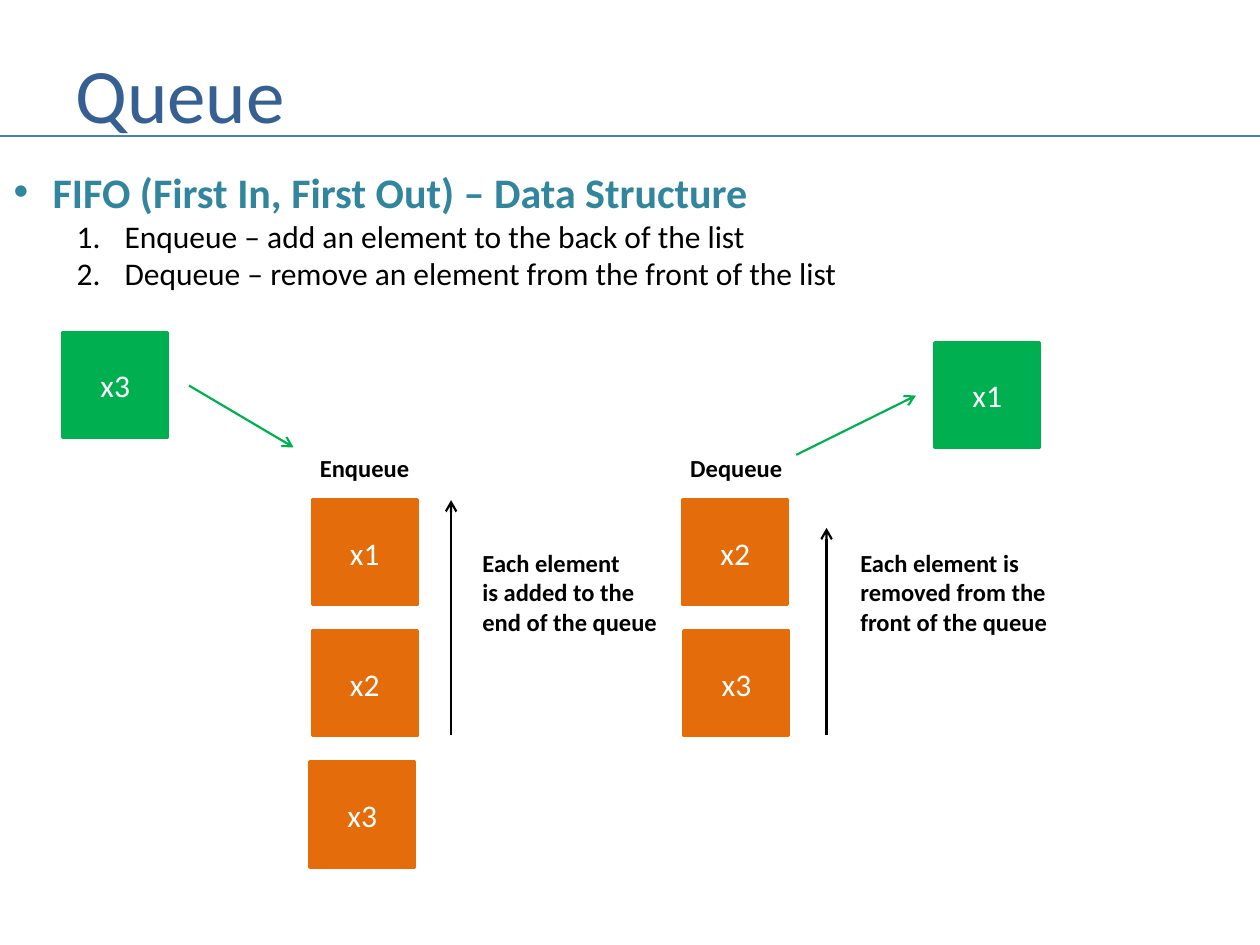
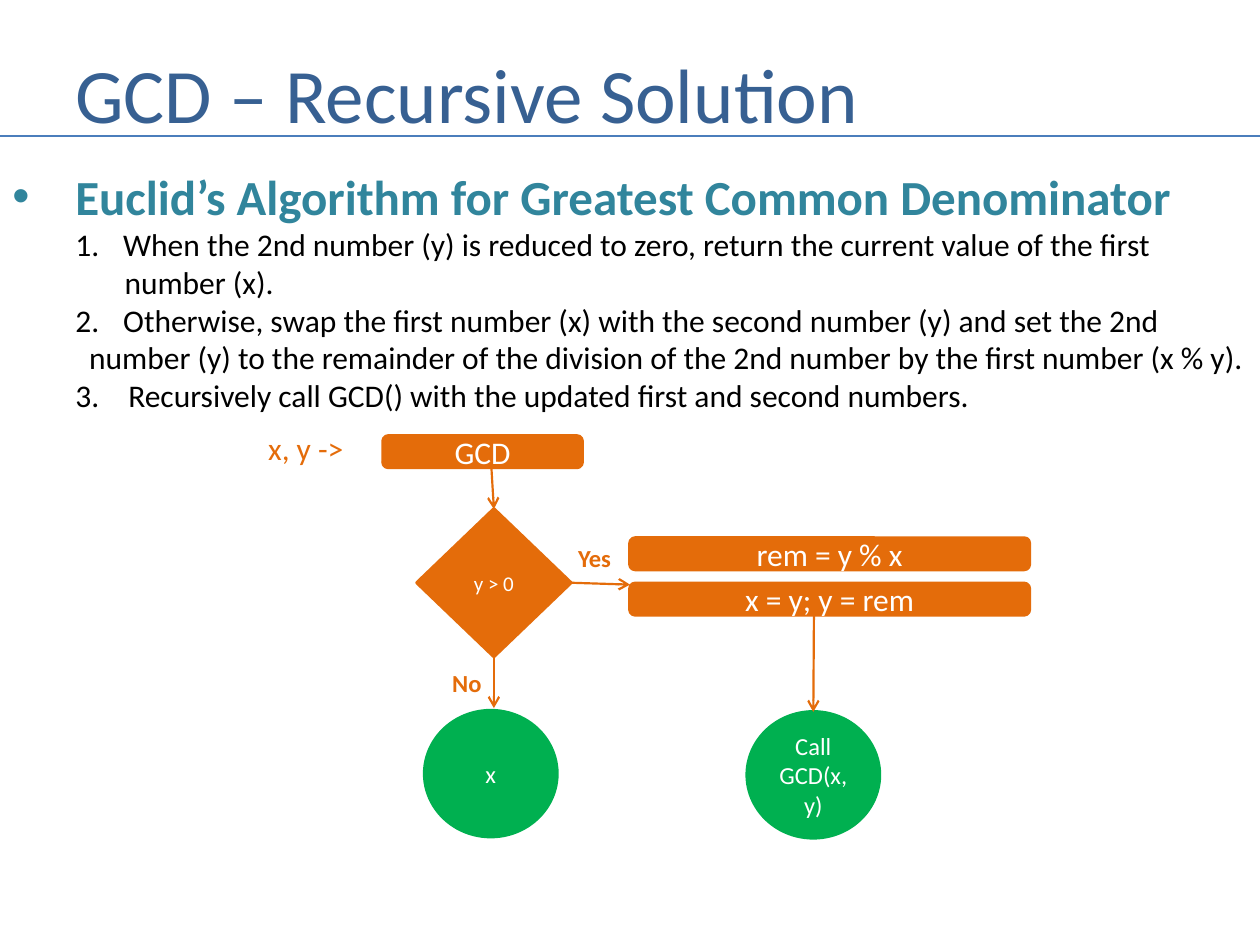
from pptx import Presentation
from pptx import util as u
from pptx.dml.color import RGBColor
from pptx.enum import shapes, text
from pptx.oxml.ns import qn
from lxml import etree

FONT = "Calibri"
NAVY = RGBColor(0x37, 0x60, 0x92)
RULE_BLUE = RGBColor(0x4B, 0x7E, 0xBC)
TEAL = RGBColor(0x31, 0x85, 0x9C)
ORANGE = RGBColor(0xE4, 0x6C, 0x0A)
GREEN = RGBColor(0x00, 0xB0, 0x50)
BLACK = RGBColor(0, 0, 0)
WHITE = RGBColor(0xFF, 0xFF, 0xFF)

Preset = shapes.MSO_SHAPE
TOP, BOTTOM, RIGHT = 0, 2, 3
SIDE = 0.83


class Slides:
    def __init__(self):
        self.deck = Presentation()
        self.deck.slide_width = u.Inches(10)
        self.deck.slide_height = u.Inches(7.5)
        self.page = None

    def new_page(self, title):
        self.page = self.deck.slides.add_slide(self.deck.slide_layouts[6])
        box = self.text_box((0.5, 0.3, 9.08, 0.87))
        box.text_frame.vertical_anchor = text.MSO_ANCHOR.MIDDLE
        self.add_span(box.text_frame.paragraphs[0], title, 44, NAVY)
        self.line((0, 1.08), (10, 1.08), RULE_BLUE, 1.5)

    def text_box(self, place, wrap=True):
        box = self.page.shapes.add_textbox(*map(u.Inches, place))
        box.text_frame.word_wrap = wrap
        return box

    def add_span(self, para, words, size, color, bold=False):
        span = para.add_run()
        span.text = words
        span.font.name = FONT
        span.font.size = u.Pt(size)
        span.font.bold = bold
        span.font.color.rgb = color

    def add_lines(self, frame, lines, size, color, bold=False, align=None):
        for index, words in enumerate(lines.split("\n")):
            para = frame.add_paragraph() if index else frame.paragraphs[0]
            para.alignment = align
            self.add_span(para, words, size, color, bold)

    def label(self, place, lines, color=BLACK, size=14, bold=True):
        box = self.text_box(place, wrap=False)
        self.add_lines(box.text_frame, lines, size, color, bold)

    def outline(self, place, heading, heading_size, hang, items):
        """Bulleted heading over items of (words, left margin, first-line indent, number)."""
        frame = self.text_box(place).text_frame
        para = frame.paragraphs[0]
        self.indent(para, hang, -hang, "buChar", char="•")
        self.add_span(para, heading, heading_size, TEAL, True)
        for words, margin, first, number in items:
            para = frame.add_paragraph()
            para.level = 1
            if number:
                self.indent(para, margin, first, "buAutoNum",
                            type="arabicPeriod", startAt=str(number))
            else:
                self.indent(para, margin, first, "buNone")
            self.add_span(para, words, 18, BLACK)

    def indent(self, para, margin, first, bullet, **settings):
        props = para._p.get_or_add_pPr()
        props.set("marL", str(u.Inches(margin)))
        props.set("indent", str(u.Inches(first)))
        if bullet == "buChar":
            etree.SubElement(props, qn("a:buFont"), typeface="Arial")
        etree.SubElement(props, qn("a:" + bullet), **settings)

    def block(self, preset, place, lines, color, size=18):
        shape = self.page.shapes.add_shape(preset, *map(u.Inches, place))
        shape.shadow.inherit = False
        shape.fill.solid()
        shape.fill.fore_color.rgb = color
        shape.line.color.rgb = color
        shape.line.width = u.Pt(2)
        frame = shape.text_frame
        frame.word_wrap = True
        frame.vertical_anchor = text.MSO_ANCHOR.MIDDLE
        self.add_lines(frame, lines, size, WHITE, align=text.PP_ALIGN.CENTER)
        return shape

    def square(self, left, top, name, color=ORANGE):
        self.block(Preset.RECTANGLE, (left, top, SIDE, SIDE), name, color)

    def line(self, start, end, color, width):
        line = self.page.shapes.add_connector(
            shapes.MSO_CONNECTOR.STRAIGHT, *map(u.Inches, start + end))
        line.line.color.rgb = color
        line.line.width = u.Pt(width)
        etree.SubElement(line._element.spPr, qn("a:effectLst"))
        return line

    def arrow(self, start, end, color, begin=None, finish=None):
        """Arrow; begin and finish are optional (shape, side) pairs to join."""
        arrow = self.line(start, end, color, 1.25)
        stroke = arrow._element.spPr.find(qn("a:ln"))
        etree.SubElement(stroke, qn("a:tailEnd"), type="arrow")
        if begin:
            arrow.begin_connect(*begin)
        if finish:
            arrow.end_connect(*finish)


def queue_page(slides):
    slides.new_page("Queue")
    slides.outline(
        (0.01, 1.27, 9.99, 1.11), "FIFO (First In, First Out) – Data Structure", 24, 0.31,
        [("Enqueue – add an element to the back of the list", 0.88, -0.38, 1),
         ("Dequeue – remove an element from the front of the list", 0.88, -0.38, 2)])

    enqueued = [(2.48, "x1"), (2.48, "x2"), (2.46, "x3")]
    dequeued = [(5.42, "x2"), (5.43, "x3")]
    for column in (enqueued, dequeued):
        for row, (left, name) in enumerate(column):
            slides.square(left, 3.97 + 1.04 * row, name)
    slides.square(0.5, 2.64, "x3", GREEN)
    slides.square(7.42, 2.72, "x1", GREEN)

    slides.label((2.44, 3.55, 0.92, 0.34), "Enqueue")
    slides.label((5.38, 3.55, 0.94, 0.34), "Dequeue")
    slides.label((3.73, 4.3, 1.59, 0.81), "Each element\nis added to the\nend of the queue")
    slides.label((6.73, 4.3, 1.73, 0.81),
                 "Each element is\nremoved from the\nfront of the queue")

    slides.arrow((3.58, 5.83), (3.58, 3.97), BLACK)
    slides.arrow((6.56, 5.83), (6.56, 4.19), BLACK)
    slides.arrow((1.5, 3.06), (2.33, 3.55), GREEN)
    slides.arrow((6.32, 3.61), (7.27, 3.14), GREEN)


def gcd_page(slides):
    slides.new_page("GCD – Recursive Solution")
    slides.outline(
        (0, 1.27, 10.37, 2.69), "Euclid’s Algorithm for Greatest Common Denominator", 28, 0.5,
        [("When the 2nd number (y) is reduced to zero, return the current value of the first",
          0.88, -0.38, 1),
         ("number (x).", 0.89, 0, None),
         ("Otherwise, swap the first number (x) with the second number (y) and set the 2nd",
          0.88, -0.38, 2),
         ("number (y) to the remainder of the division of the 2nd number by the first "
          "number (x % y).", 0.61, 0, None),
         ("Recursively call GCD() with the updated first and second numbers.",
          0.92, -0.42, 3)])

    slides.block(Preset.ROUNDED_RECTANGLE, (3.04, 3.46, 1.58, 0.25), "GCD", ORANGE)
    for top, step in ((4.27, "rem = y % x"), (4.63, "x = y; y = rem")):
        slides.block(Preset.ROUNDED_RECTANGLE, (5, top, 3.17, 0.25), step, ORANGE)
    decision = slides.block(Preset.FLOWCHART_DECISION, (3.31, 4.04, 1.22, 1.17),
                            "y > 0", ORANGE, 12)
    slides.block(Preset.OVAL, (3.37, 5.64, 1.05, 1), "x", GREEN, 14)
    call = slides.block(Preset.OVAL, (5.93, 5.65, 1.05, 1), "Call\nGCD(x,y)", GREEN, 14)

    slides.label((2.03, 3.36, 0.83, 0.4), "x, y ->", ORANGE, 18, False)
    slides.label((3.49, 5.25, 0.44, 0.34), "No", ORANGE)
    slides.label((4.49, 4.26, 0.46, 0.34), "Yes", ORANGE)

    slides.arrow((3.9, 3.71), (3.92, 4.04), ORANGE, finish=(decision, TOP))
    slides.arrow((3.92, 5.21), (3.92, 5.62), ORANGE, begin=(decision, BOTTOM))
    slides.arrow((4.53, 4.63), (5, 4.64), ORANGE, begin=(decision, RIGHT))
    slides.arrow((6.46, 4.88), (6.46, 5.65), ORANGE, finish=(call, TOP))


def main():
    slides = Slides()
    queue_page(slides)
    gcd_page(slides)
    slides.deck.save("out.pptx")


if __name__ == "__main__":
    main()
